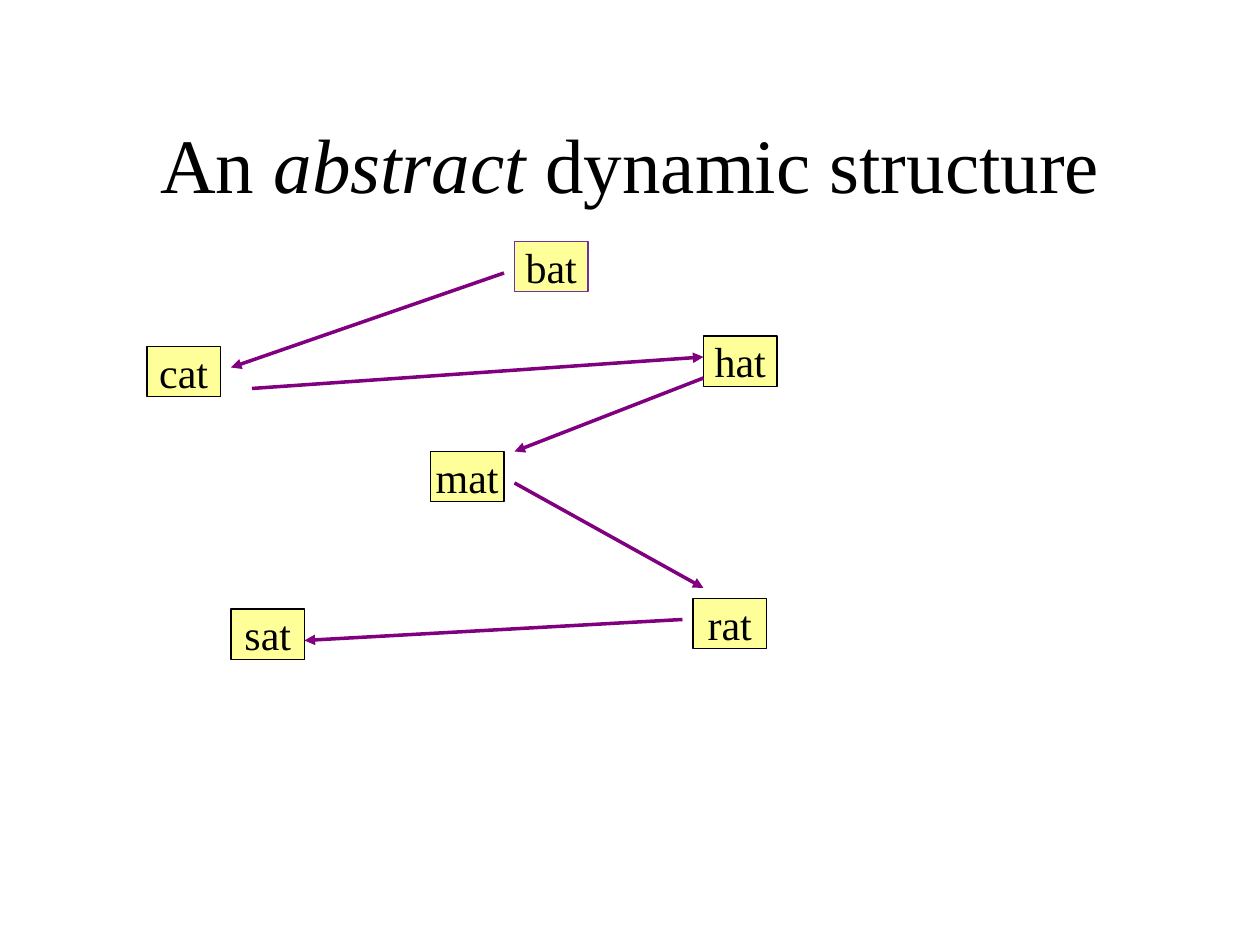
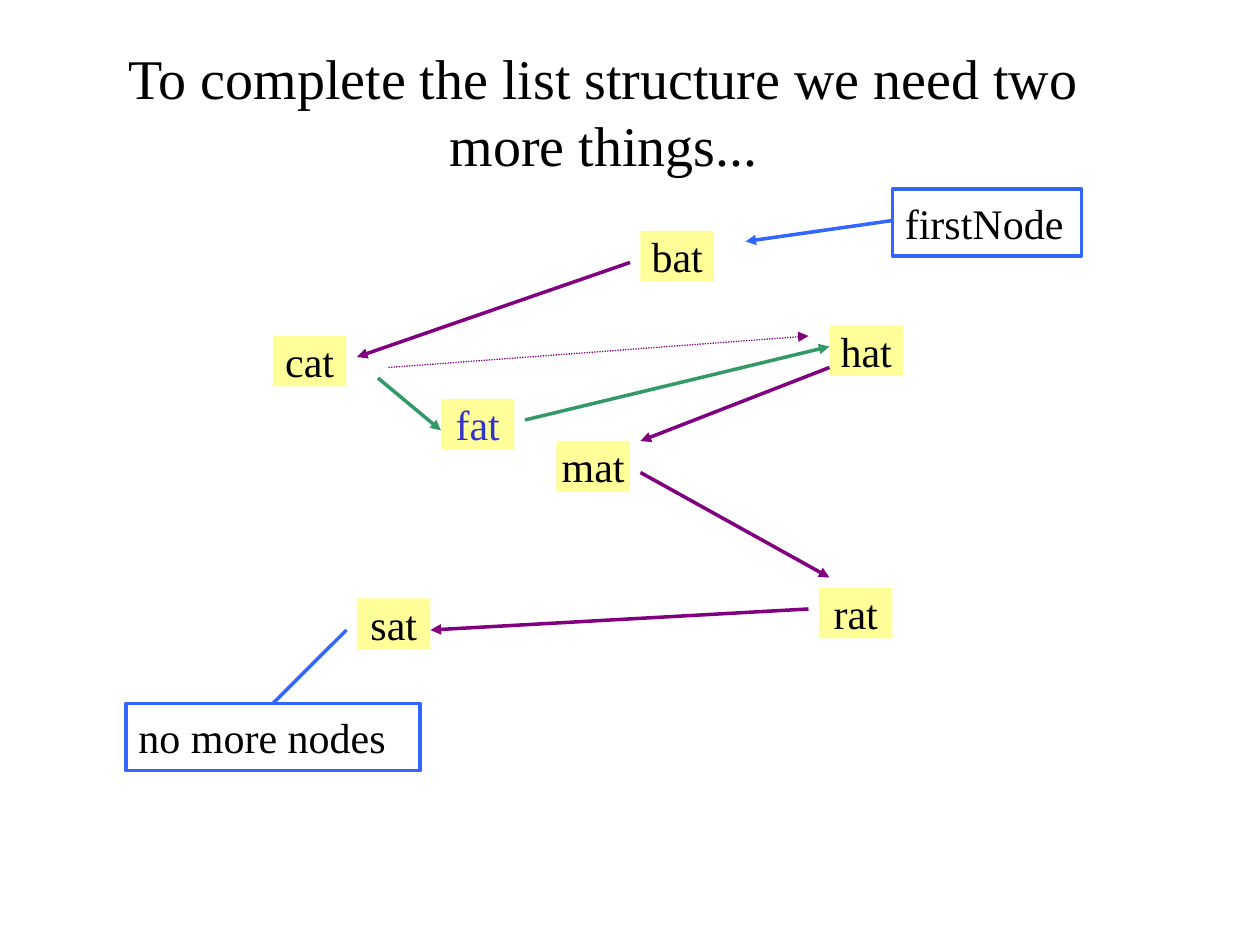
from dataclasses import dataclass
from typing import Optional

from lxml.etree import SubElement
from pptx import Presentation
from pptx.dml.color import RGBColor
from pptx.enum.dml import MSO_LINE
from pptx.enum.shapes import MSO_CONNECTOR, MSO_SHAPE
from pptx.enum.text import MSO_ANCHOR, PP_ALIGN
from pptx.oxml.ns import qn
from pptx.util import Cm, Pt

FONT = "Times New Roman"
BLACK = "000000"
YELLOW = "FFFF99"
PURPLE = "800080"
VIOLET = "7030A0"
GREEN = "339966"
BLUE = "3366FF"
INDIGO = "3333CC"
GRID_CM = 2.54 / 12
NODE_WIDTH = 7
NODE_HEIGHT = 4.8
NOTE_HEIGHT = 6.4


@dataclass(frozen=True)
class Node:
    word: str
    left: float
    top: float
    border: Optional[str] = BLACK
    text_color: str = BLACK


@dataclass(frozen=True)
class Link:
    start: tuple[float, float]
    end: tuple[float, float]
    color: str = PURPLE
    width: float = 2
    dotted: bool = False
    arrow: bool = True


@dataclass(frozen=True)
class Note:
    text: str
    left: float
    top: float
    width: float


WORDS = [
    Node("cat", 14, 33),
    Node("mat", 41, 43),
    Node("sat", 22, 58),
    Node("bat", 49, 23, VIOLET),
    Node("rat", 66, 57),
    Node("hat", 67, 32),
]
CHAIN = [
    Link((48, 26), (22, 35)),
    Link((67, 36), (49, 43)),
    Link((49, 46), (67, 56)),
    Link((65, 59), (29, 61)),
]


def grid(units: float) -> Cm:
    return Cm(units * GRID_CM)


def rgb(color: str) -> RGBColor:
    return RGBColor.from_string(color)


def style_font(font, size: float, color: str) -> None:
    font.name = FONT
    font.size = Pt(size)
    font.color.rgb = rgb(color)


def add_title(page, area: tuple[float, ...], size: float,
              spans: list[tuple[str, bool]]) -> None:
    box = page.shapes.add_textbox(*map(grid, area))
    frame = box.text_frame
    frame.word_wrap = True
    frame.vertical_anchor = MSO_ANCHOR.MIDDLE
    para = frame.paragraphs[0]
    para.alignment = PP_ALIGN.CENTER
    style_font(para.font, size, BLACK)
    for text, italic in spans:
        span = para.add_run()
        span.text = text
        if italic:
            span.font.italic = True


def add_box(page, area: tuple[float, ...], text: str, text_color: str,
            fill: Optional[str], border: Optional[str], border_width: float):
    box = page.shapes.add_shape(MSO_SHAPE.RECTANGLE, *map(grid, area))
    box.shadow.inherit = False
    if fill:
        box.fill.solid()
        box.fill.fore_color.rgb = rgb(fill)
    else:
        box.fill.background()
    if border:
        box.line.color.rgb = rgb(border)
        box.line.width = Pt(border_width)
    else:
        box.line.fill.background()
    frame = box.text_frame
    frame.vertical_anchor = MSO_ANCHOR.MIDDLE
    para = frame.paragraphs[0]
    para.text = text
    style_font(para.font, 24, text_color)
    return frame


def add_node(page, node: Node, right: float = 0, down: float = 0) -> None:
    area = (node.left + right, node.top + down, NODE_WIDTH, NODE_HEIGHT)
    frame = add_box(page, area, node.word, node.text_color, YELLOW, node.border, 0.75)
    frame.margin_left = frame.margin_right = Cm(0)
    frame.margin_top = frame.margin_bottom = Cm(0)
    frame.word_wrap = False
    frame.paragraphs[0].alignment = PP_ALIGN.CENTER


def add_note(page, note: Note) -> None:
    area = (note.left, note.top, note.width, NOTE_HEIGHT)
    frame = add_box(page, area, note.text, BLACK, None, BLUE, 2)
    frame.paragraphs[0].alignment = PP_ALIGN.LEFT


def add_link(page, link: Link, right: float = 0, down: float = 0) -> None:
    ends = [grid(value + shift)
            for point in (link.start, link.end)
            for value, shift in zip(point, (right, down))]
    connector = page.shapes.add_connector(MSO_CONNECTOR.STRAIGHT, *ends)
    connector.line.color.rgb = rgb(link.color)
    connector.line.width = Pt(link.width)
    if link.dotted:
        connector.line.dash_style = MSO_LINE.ROUND_DOT
    properties = connector._element.spPr
    if link.arrow:
        SubElement(properties.find(qn("a:ln")), qn("a:tailEnd"), type="triangle")
    SubElement(properties, qn("a:effectLst"))


def add_structure_page(deck) -> None:
    page = deck.slides.add_slide(deck.slide_layouts[6])
    add_title(page, (9, 8, 102, 15), 44,
              [("An ", False), ("abstract", True), (" dynamic structure", False)])
    for node in WORDS:
        add_node(page, node)
    for link in [*CHAIN, Link((24, 37), (67, 34))]:
        add_link(page, link)


def add_completion_page(deck) -> None:
    page = deck.slides.add_slide(deck.slide_layouts[6])
    add_title(page, (6, 4, 103, 13), 32,
              [("To complete the list structure we need two more things...", False)])
    right, down = 12, -1
    for node in WORDS:
        add_node(page, Node(node.word, node.left, node.top, None), right, down)
    for link in CHAIN:
        add_link(page, link, right, down)
    add_node(page, Node("fat", 42, 38, None, INDIGO))
    for link in [
        Link((36, 36), (42, 41), GREEN),
        Link((50, 40), (79, 33), GREEN),
        Link((37, 35), (77, 32), width=0.75, dotted=True),
        Link((85, 21), (71, 23), BLUE),
        Link((33, 60), (26, 67), BLUE, arrow=False),
    ]:
        add_link(page, link)
    for note in [Note("firstNode", 85, 18, 18), Note("no more nodes", 12, 67, 28)]:
        add_note(page, note)


def main() -> None:
    deck = Presentation()
    deck.slide_width = Cm(25.4)
    deck.slide_height = Cm(19.05)
    add_structure_page(deck)
    add_completion_page(deck)
    deck.save("out.pptx")


main()
